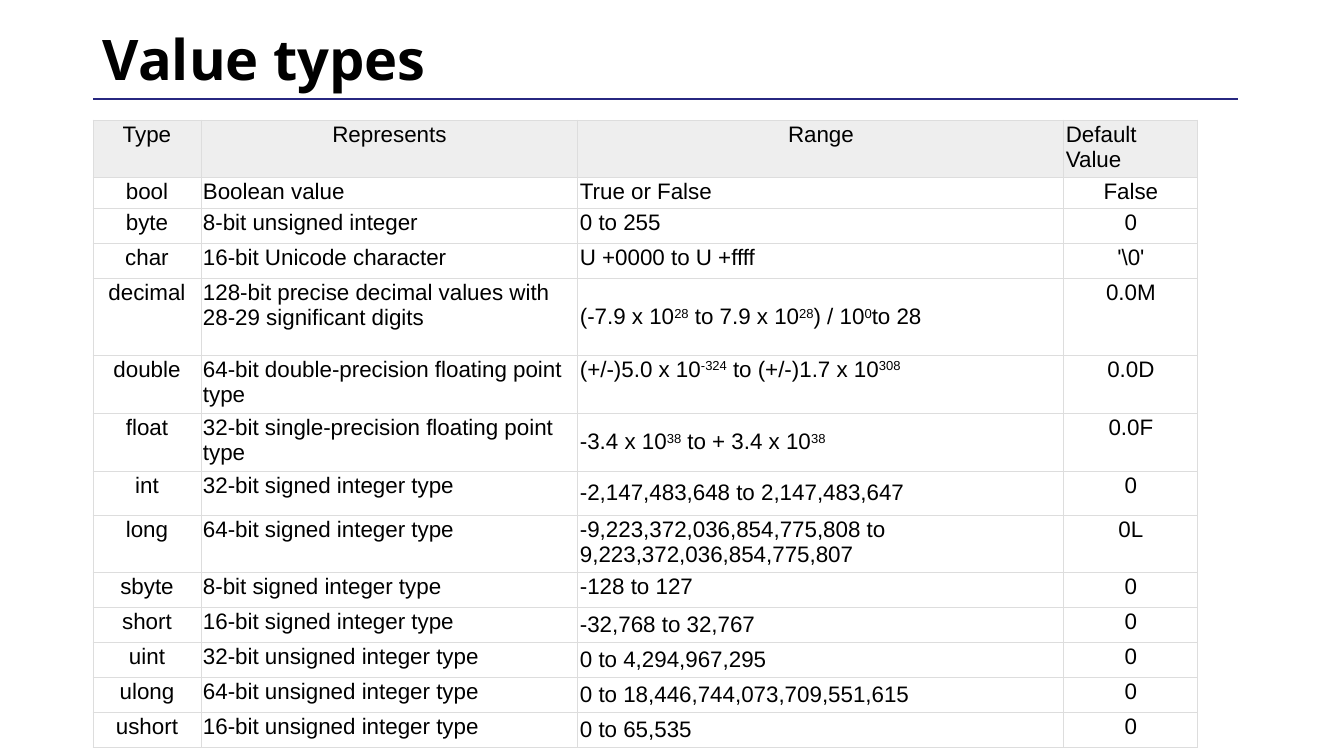
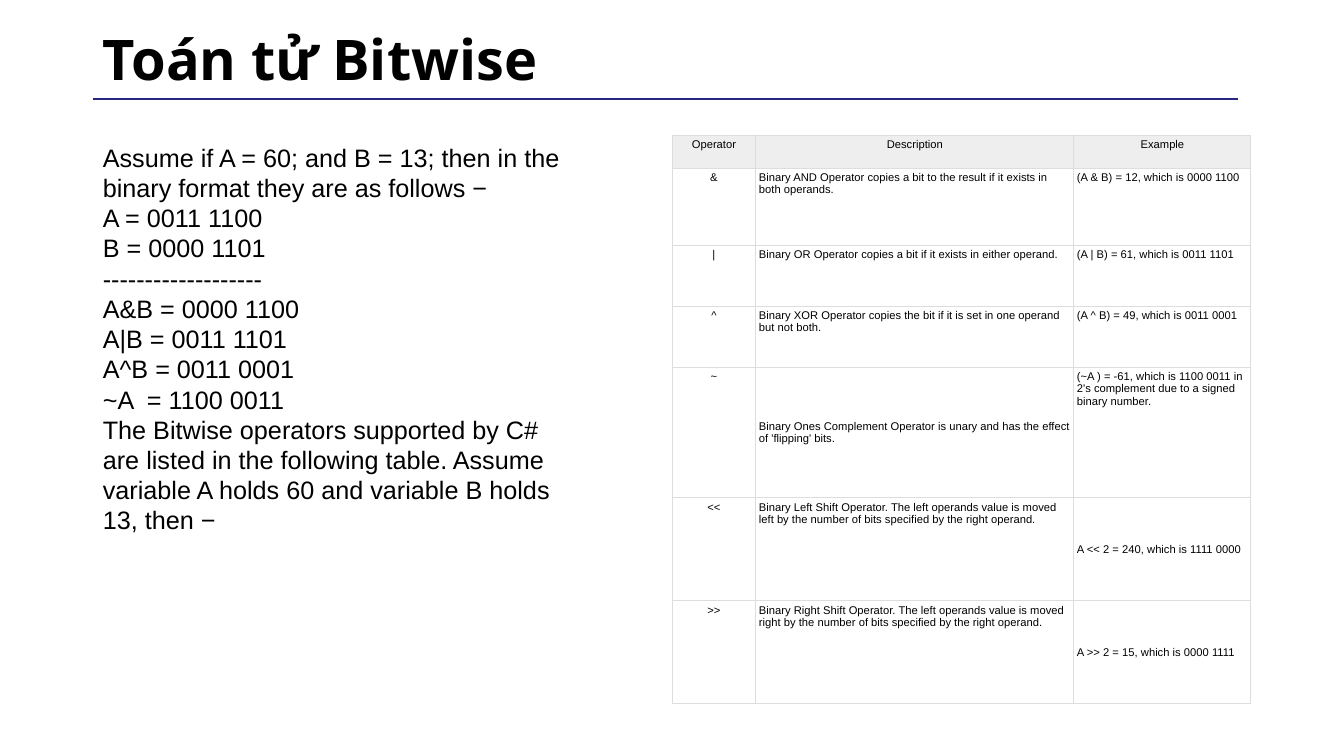
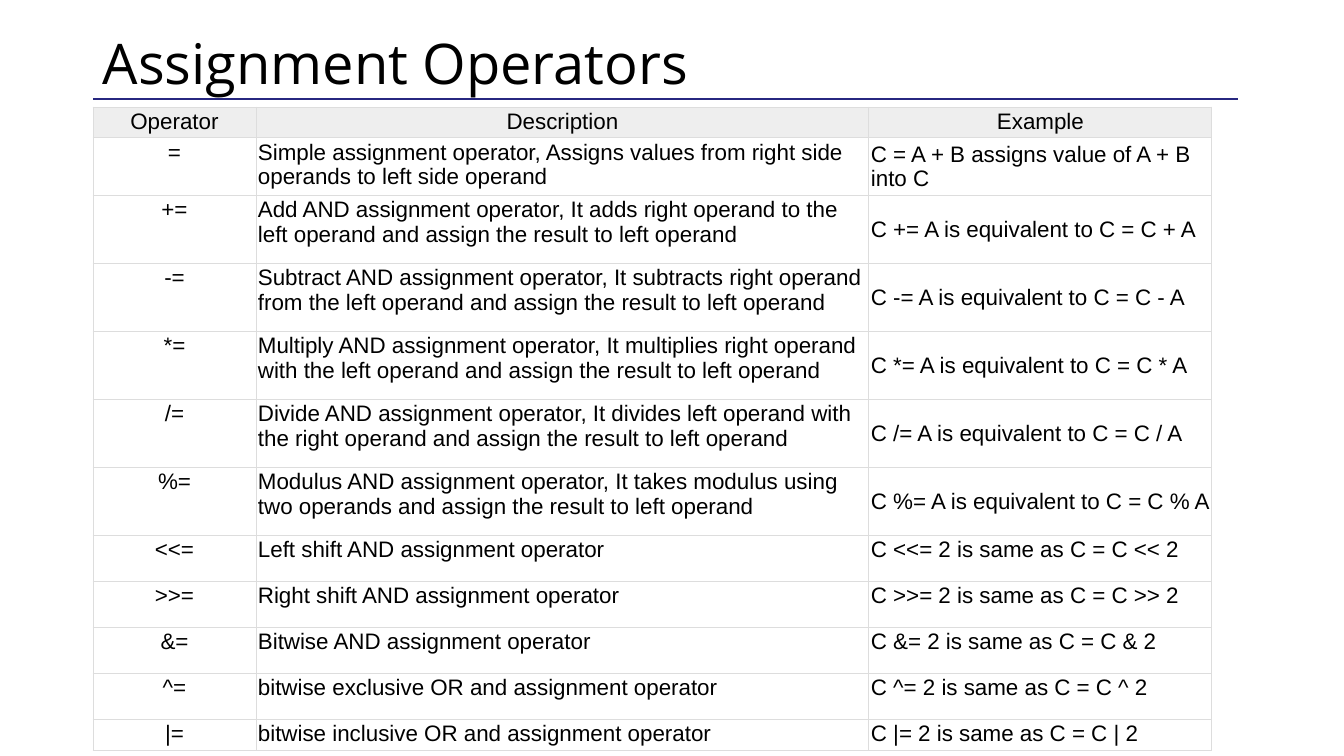
from dataclasses import dataclass

from lxml import etree
from pptx import Presentation
from pptx.dml.color import RGBColor
from pptx.enum.shapes import MSO_CONNECTOR
from pptx.enum.text import MSO_ANCHOR, MSO_AUTO_SIZE, PP_ALIGN
from pptx.oxml import parse_xml
from pptx.oxml.ns import nsdecls, qn
from pptx.util import Pt

LEFT, CENTER = PP_ALIGN.LEFT, PP_ALIGN.CENTER
TOP, MIDDLE = MSO_ANCHOR.TOP, MSO_ANCHOR.MIDDLE
GROW = MSO_AUTO_SIZE.SHAPE_TO_FIT_TEXT
STRAIGHT = MSO_CONNECTOR.STRAIGHT
PX = 914400 / 100.8


@dataclass(frozen=True)
class Theme:
    ink: str = "000000"
    rule: str = "272780"
    grid: str = "DDDDDD"
    header: str = "EEEEEE"
    title_font: str = "Open Sans"
    body_font: str = "Arial"
    title_size: int = 40
    body_size: int = 18
    table_size: int = 16
    small_size: int = 8
    rule_width: int = 2
    grid_width: float = 0.75


THEME = Theme()


def px(*lengths):
    return [round(length * PX) for length in lengths]


def write(paragraph, text, size, name=THEME.body_font, bold=False):
    for index, part in enumerate(text.replace("}", "{").split("{")):
        if part:
            run = paragraph.add_run()
            run.text = part
            for key, value in {"name": name, "size": Pt(size), "bold": bold}.items():
                setattr(run.font, key, value)
            run.font.color.rgb = RGBColor.from_string(THEME.ink)
            if index % 2:
                run.font._element.set("baseline", "30000")


value_types = [
    ("Type", "Represents", "Range", "Default Value"),
    ("bool", "Boolean value", "True or False", "False"),
    ("byte", "8-bit unsigned integer", "0 to 255", "0"),
    ("char", "16-bit Unicode character", "U +0000 to U +ffff", r"'\0'"),
    ("decimal", "128-bit precise decimal values with 28-29 significant digits",
     "(-7.9 x 10{28} to 7.9 x 10{28}) / 10{0}to 28", "0.0M"),
    ("double", "64-bit double-precision floating point type",
     "(+/-)5.0 x 10{-324} to (+/-)1.7 x 10{308}", "0.0D"),
    ("float", "32-bit single-precision floating point type",
     "-3.4 x 10{38} to + 3.4 x 10{38}", "0.0F"),
    ("int", "32-bit signed integer type", "-2,147,483,648 to 2,147,483,647", "0"),
    ("long", "64-bit signed integer type",
     "-9,223,372,036,854,775,808 to 9,223,372,036,854,775,807", "0L"),
    ("sbyte", "8-bit signed integer type", "-128 to 127", "0"),
    ("short", "16-bit signed integer type", "-32,768 to 32,767", "0"),
    ("uint", "32-bit unsigned integer type", "0 to 4,294,967,295", "0"),
    ("ulong", "64-bit unsigned integer type", "0 to 18,446,744,073,709,551,615", "0"),
    ("ushort", "16-bit unsigned integer type", "0 to 65,535", "0"),
]

bitwise_operators = [
    ("Operator", "Description", "Example"),
    ("&", "Binary AND Operator copies a bit to the result if it exists in both operands.",
     "(A & B) = 12, which is 0000 1100"),
    ("|", "Binary OR Operator copies a bit if it exists in either operand.",
     "(A | B) = 61, which is 0011 1101"),
    ("^", "Binary XOR Operator copies the bit if it is set in one operand but not both.",
     "(A ^ B) = 49, which is 0011 0001"),
    ("~", "Binary Ones Complement Operator is unary and has the effect of 'flipping' bits.",
     "(~A ) = -61, which is 1100 0011 in 2's complement due to a signed binary number."),
    ("<<", "Binary Left Shift Operator. The left operands value is moved left by the number "
     "of bits specified by the right operand.", "A << 2 = 240, which is 1111 0000"),
    (">>", "Binary Right Shift Operator. The left operands value is moved right by the number "
     "of bits specified by the right operand.", "A >> 2 = 15, which is 0000 1111"),
]

bitwise_intro = [
    "Assume if A = 60; and B = 13; then in the binary format they are as follows −",
    "A = 0011 1100",
    "B = 0000 1101",
    "-------------------",
    "A&B = 0000 1100",
    "A|B = 0011 1101",
    "A^B = 0011 0001",
    "~A  = 1100 0011",
    "The Bitwise operators supported by C# are listed in the following table. "
    "Assume variable A holds 60 and variable B holds 13, then −",
]

assignment_operators = [
    ("Operator", "Description", "Example"),
    ("=", "Simple assignment operator, Assigns values from right side operands to left side "
     "operand", "C = A + B assigns value of A + B into C"),
    ("+=", "Add AND assignment operator, It adds right operand to the left operand and assign "
     "the result to left operand", "C += A is equivalent to C = C + A"),
    ("-=", "Subtract AND assignment operator, It subtracts right operand from the left operand "
     "and assign the result to left operand", "C -= A is equivalent to C = C - A"),
    ("*=", "Multiply AND assignment operator, It multiplies right operand with the left operand "
     "and assign the result to left operand", "C *= A is equivalent to C = C * A"),
    ("/=", "Divide AND assignment operator, It divides left operand with the right operand and "
     "assign the result to left operand", "C /= A is equivalent to C = C / A"),
    ("%=", "Modulus AND assignment operator, It takes modulus using two operands and assign the "
     "result to left operand", "C %= A is equivalent to C = C % A"),
    ("<<=", "Left shift AND assignment operator", "C <<= 2 is same as C = C << 2"),
    (">>=", "Right shift AND assignment operator", "C >>= 2 is same as C = C >> 2"),
    ("&=", "Bitwise AND assignment operator", "C &= 2 is same as C = C & 2"),
    ("^=", "bitwise exclusive OR and assignment operator", "C ^= 2 is same as C = C ^ 2"),
    ("|=", "bitwise inclusive OR and assignment operator", "C |= 2 is same as C = C | 2"),
]

pages = [
    {
        "title": "Value types", "bold": True, "title_at": (93, 17, 1159, 90),
        "rows": value_types, "corner": (93, 120), "size": THEME.table_size, "inset": 2,
        "widths": [108, 377, 486, 134],
        "heights": [45, 29, 35, 35, 77, 55, 55, 44, 55] + [35] * 5,
        "centered": {0, 3}, "left_headers": {3},
        "middle": {(row, 2) for row in (4, 6, 7, 10, 11, 12, 13)},
        "intro": [],
    },
    {
        "title": "Toán tử Bitwise", "bold": True, "title_at": (93, 17, 1159, 90),
        "rows": bitwise_operators, "corner": (672, 135), "size": THEME.small_size, "inset": 3,
        "widths": [84, 318, 177],
        "heights": [33, 77, 61, 61, 131, 103, 103],
        "centered": {0}, "left_headers": set(),
        "middle": {(4, 1), (5, 2), (6, 2)},
        "intro": bitwise_intro,
    },
    {
        "title": "Assignment Operators", "bold": False, "title_at": (93, 25, 1159, 83),
        "rows": assignment_operators, "corner": (93, 107), "size": THEME.table_size, "inset": 2,
        "widths": [163, 613, 343],
        "heights": [24, 46] + [68] * 5 + [46] * 4 + [24],
        "centered": {0}, "left_headers": set(),
        "middle": {(row, 2) for row in range(1, 7)},
        "intro": [],
    },
]

deck = Presentation()
deck.slide_width, deck.slide_height = px(1344, 756)

for page in pages:
    slide = deck.slides.add_slide(deck.slide_layouts[6])

    rule = slide.shapes.add_connector(STRAIGHT, *px(1238, 99, 93, 99))
    rule.line.color.rgb = RGBColor.from_string(THEME.rule)
    rule.line.width = Pt(THEME.rule_width)
    etree.SubElement(rule._element.spPr, qn("a:effectLst"))

    title = slide.shapes.add_textbox(*px(*page["title_at"])).text_frame
    for key, value in {"word_wrap": True, "vertical_anchor": MIDDLE}.items():
        setattr(title, key, value)
    title.paragraphs[0].line_spacing = 0.9
    write(title.paragraphs[0], page["title"], THEME.title_size, THEME.title_font, page["bold"])

    widths, heights = page["widths"], page["heights"]
    grid = slide.shapes.add_table(
        len(heights), len(widths), *px(*page["corner"], sum(widths), sum(heights))).table
    grid.first_row = grid.horz_banding = False
    for column, width in zip(grid.columns, px(*widths)):
        column.width = width
    for row, height in zip(grid.rows, px(*heights)):
        row.height = height

    inset = px(page["inset"])[0]
    for r, texts in enumerate(page["rows"]):
        for c, text in enumerate(texts):
            cell = grid.cell(r, c)
            cell_format = {
                "margin_left": inset, "margin_right": inset,
                "margin_top": inset, "margin_bottom": inset,
                "vertical_anchor": MIDDLE if (r, c) in page["middle"] else TOP,
            }
            for key, value in cell_format.items():
                setattr(cell, key, value)
            for side in ("lnL", "lnR", "lnT", "lnB"):
                cell._tc.get_or_add_tcPr().append(parse_xml(
                    f'<a:{side} {nsdecls("a")} w="{Pt(THEME.grid_width)}"><a:solidFill>'
                    f'<a:srgbClr val="{THEME.grid}"/></a:solidFill></a:{side}>'))
            if r == 0:
                cell.fill.solid()
                cell.fill.fore_color.rgb = RGBColor.from_string(THEME.header)
                centered = c not in page["left_headers"]
            else:
                cell.fill.background()
                centered = c in page["centered"]
            paragraph = cell.text_frame.paragraphs[0]
            paragraph.alignment = CENTER if centered else LEFT
            write(paragraph, text, page["size"])

    if page["intro"]:
        intro = slide.shapes.add_textbox(*px(93, 135, 496, 407)).text_frame
        for key, value in {"word_wrap": True, "vertical_anchor": MIDDLE, "auto_size": GROW}.items():
            setattr(intro, key, value)
        for index, text in enumerate(page["intro"]):
            paragraph = intro.add_paragraph() if index else intro.paragraphs[0]
            write(paragraph, text, THEME.body_size)

deck.save("out.pptx")
